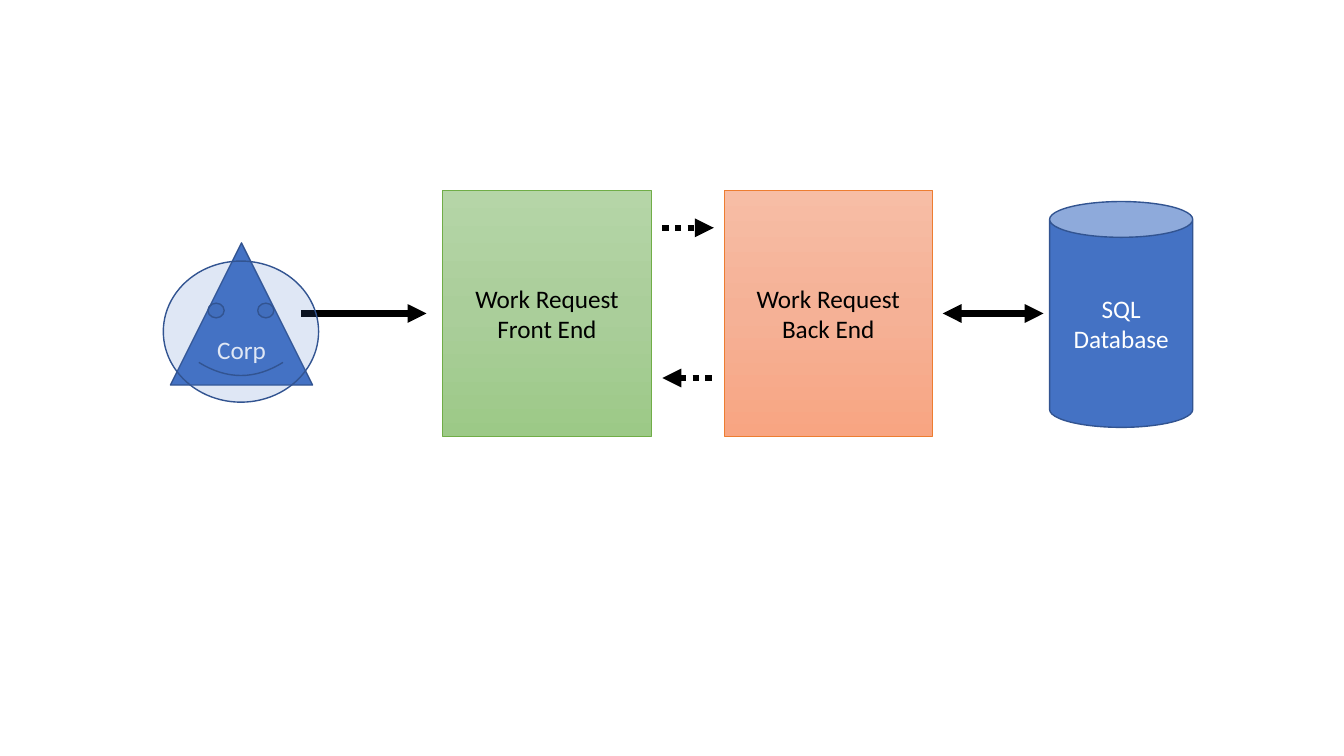
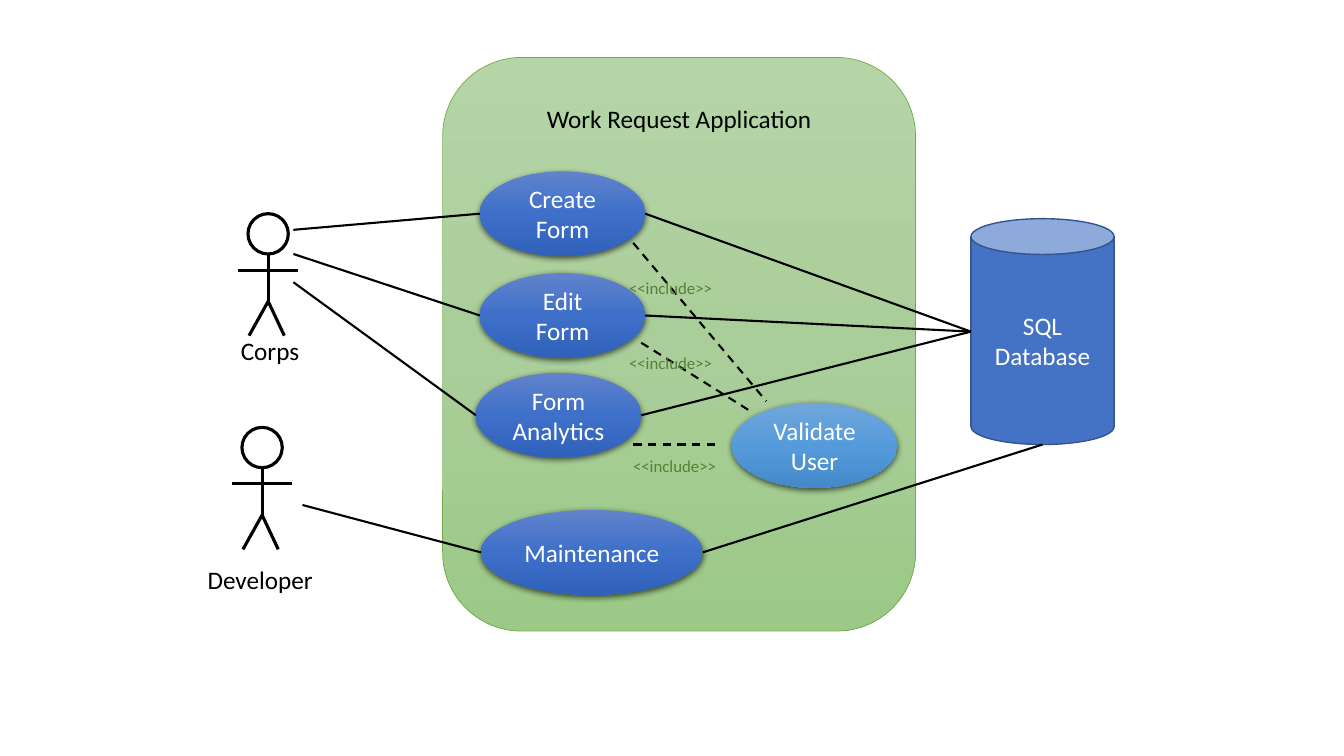
from dataclasses import dataclass

from lxml.etree import SubElement
from pptx import Presentation
from pptx.dml.color import RGBColor
from pptx.enum.dml import MSO_LINE
from pptx.enum.shapes import MSO_CONNECTOR, MSO_SHAPE as SHAPE
from pptx.enum.text import MSO_ANCHOR, PP_ALIGN
from pptx.oxml.ns import qn
from pptx.util import Inches, Pt


@dataclass(frozen=True)
class Theme:
    font: str = "Calibri"
    body: int = 18
    note: int = 12
    black: str = "000000"
    white: str = "FFFFFF"
    blue: str = "4472C4"
    navy: str = "325491"
    moss: str = "548235"
    leaf: str = "70AD47"
    orange: str = "ED7D31"
    greens: tuple = ("B5D5A7", "AACE9A", "9CC987")
    peaches: tuple = ("F7BDA5", "F5B196", "F8A582")
    blues: tuple = ("6183CB", "3E70CA", "3062BB")
    skies: tuple = ("71A6DB", "559BDB", "448ACA")


T = Theme()
CAN_SIZE = (1.42, 2.24)
CASE_SIZE = (1.64, 0.84)

TIERS = [
    ("Work Request Front End", 4.39, T.greens, T.leaf),
    ("Work Request Back End", 7.18, T.peaches, T.orange),
]
TIER_TOP, TIER_SIZE = 1.89, (2.07, 2.44)
FLOWS = [
    (2.99, 4.23, 3.11, None, ("tailEnd",)),
    (6.57, 7.08, 2.26, MSO_LINE.ROUND_DOT, ("tailEnd",)),
    (6.57, 7.08, 3.75, MSO_LINE.ROUND_DOT, ("headEnd",)),
    (9.35, 10.35, 3.11, None, ("headEnd", "tailEnd")),
]

APP_BOX = (4.39, 0.57, 4.69, 5.69)
DATABASE_BOX = (9.63, 2.17, *CAN_SIZE)
CASES = [
    ("Create Form", (4.76, 1.7, *CASE_SIZE), (2.91, 2.28)),
    ("Edit Form", (4.76, 2.71, *CASE_SIZE), (2.91, 2.52)),
    ("Form Analytics", (4.72, 3.7, *CASE_SIZE), (2.91, 2.8)),
    ("Maintenance", (4.77, 5.06, 2.2, 0.84), (3, 5.01)),
]
VALIDATE_BOX = (7.26, 4, *CASE_SIZE)
INCLUDES = [
    ((6.28, 2.41), (7.6, 3.98), (6.14, 2.71)),
    ((6.36, 3.4), (7.46, 4.09), (6.14, 3.45)),
    ((6.28, 4.41), (7.12, 4.41), (6.18, 4.47)),
]
ACTORS = [
    ("Corps", (2.36, 2.12), (2.29, 3.28, 0.84, 0.4)),
    ("Developer", (2.3, 4.24), (1.96, 5.55, 1.29, 0.4)),
]
HEAD = 0.4
LIMBS = [
    ((0.3, 0.4), (0.3, 0.87)),
    ((0, 0.56), (0.6, 0.56)),
    ((0.11, 1.21), (0.3, 0.87)),
    ((0.46, 1.21), (0.3, 0.87)),
]


def rgb(code):
    return RGBColor.from_string(code)


def write(s, text, color, size=T.body, align=None):
    tf = s.text_frame
    tf.word_wrap = True
    p = tf.paragraphs[0]
    p.text = text
    p.alignment = align
    p.font.name, p.font.size = T.font, Pt(size)
    p.font.color.rgb = rgb(color)
    return tf


def label(slide, text, box, color=T.black, size=T.body):
    write(slide.shapes.add_textbox(*map(Inches, box)), text, color, size)


def paint(s, fill):
    if fill is None:
        s.fill.background()
    elif isinstance(fill, str):
        s.fill.solid()
        s.fill.fore_color.rgb = rgb(fill)
    else:
        s.fill.gradient()
        s.fill.gradient_angle = 270
        stops = s.fill._fill._gradFill.find(qn("a:gsLst"))
        stops.clear()
        for i, code in enumerate(fill):
            gs = SubElement(stops, qn("a:gs"), pos=str(50000 * i))
            SubElement(gs, qn("a:srgbClr"), val=code)


def shape(shapes, kind, box, fill, line=None, width=1, text="", color=T.white):
    s = shapes.add_shape(kind, *map(Inches, box))
    s.shadow.inherit = False
    paint(s, fill)
    if line:
        s.line.color.rgb, s.line.width = rgb(line), Pt(width)
    else:
        s.line.fill.background()
    if text:
        write(s, text, color, align=PP_ALIGN.CENTER).vertical_anchor = MSO_ANCHOR.MIDDLE
    return s


def connect(shapes, start, end, width=1.5, dash=None, arrows=()):
    c = shapes.add_connector(MSO_CONNECTOR.STRAIGHT, *map(Inches, (*start, *end)))
    c.line.color.rgb, c.line.width = rgb(T.black), Pt(width)
    if dash:
        c.line.dash_style = dash
    for name in arrows:
        SubElement(c.line._get_or_add_ln(), qn(f"a:{name}"), type="triangle")
    SubElement(c._element.spPr, qn("a:effectLst"))


def database(slide, box):
    shape(slide.shapes, SHAPE.CAN, box, T.blue, T.navy, text="SQL Database")


def use_case(slide, text, box, fill):
    s = shape(slide.shapes, SHAPE.OVAL, box, fill, text=text)
    shadow = SubElement(
        s._element.spPr.find(qn("a:effectLst")), qn("a:outerShdw"),
        blurRad=str(Pt(4.5)), dist=str(Pt(1.5)), dir="5400000", algn="ctr", rotWithShape="0",
    )
    tint = SubElement(shadow, qn("a:srgbClr"), val=T.black)
    SubElement(tint, qn("a:alpha"), val="63000")


def actor(slide, name, origin, name_box):
    x, y = origin
    figure = slide.shapes.add_group_shape().shapes
    shape(figure, SHAPE.OVAL, (x + 0.1, y, HEAD, HEAD), None, T.black, 2.25)
    for (x1, y1), (x2, y2) in LIMBS:
        connect(figure, (x + x1, y + y1), (x + x2, y + y2), 2.25)
    label(slide, name, name_box)


def edge(box, across, down):
    x, y, w, h = box
    return x + w * across, y + h * down


def build_architecture(slide):
    shapes = slide.shapes
    shape(shapes, SHAPE.ISOSCELES_TRIANGLE, (1.69, 2.41, 1.41, 1.41), T.blue, T.navy, text="Corp")
    for text, x, fill, line in TIERS:
        shape(shapes, SHAPE.RECTANGLE, (x, TIER_TOP, *TIER_SIZE), fill, line, 0.5, text, T.black)
    database(slide, (10.41, 2, *CAN_SIZE))
    for x1, x2, y, dash, arrows in FLOWS:
        connect(shapes, (x1, y), (x2, y), 4.5, dash, arrows)
    face = shape(shapes, SHAPE.SMILEY_FACE, (1.62, 2.59, 1.54, 1.4), T.blue, T.navy)
    tint = face._element.spPr.find(qn("a:solidFill"))[0]
    SubElement(tint, qn("a:alpha"), val="17000")


def build_use_cases(slide):
    shapes = slide.shapes
    app = shape(shapes, SHAPE.ROUNDED_RECTANGLE, APP_BOX, T.greens, T.leaf, 0.5,
                "Work Request Application", T.black)
    app.text_frame.vertical_anchor = MSO_ANCHOR.TOP
    app.text_frame.margin_top = Inches(0.23)
    database(slide, DATABASE_BOX)
    for text, box, start in CASES:
        use_case(slide, text, box, T.blues)
        connect(shapes, start, edge(box, 0, 0.5))
        target = (0.5, 1) if text == "Maintenance" else (0, 0.5)
        connect(shapes, edge(box, 1, 0.5), edge(DATABASE_BOX, *target))
    use_case(slide, "Validate User", VALIDATE_BOX, T.skies)
    for start, end, corner in INCLUDES:
        connect(shapes, start, end, dash=MSO_LINE.DASH)
        label(slide, "<<include>>", (*corner, 1.09, 0.3), T.moss, T.note)
    for name, origin, name_box in ACTORS:
        actor(slide, name, origin, name_box)


def main():
    """Build the work request architecture and use case slides."""
    prs = Presentation()
    prs.slide_width, prs.slide_height = Inches(13.33), Inches(7.5)
    for build in (build_architecture, build_use_cases):
        build(prs.slides.add_slide(prs.slide_layouts[6]))
    prs.save("out.pptx")


if __name__ == "__main__":
    main()
